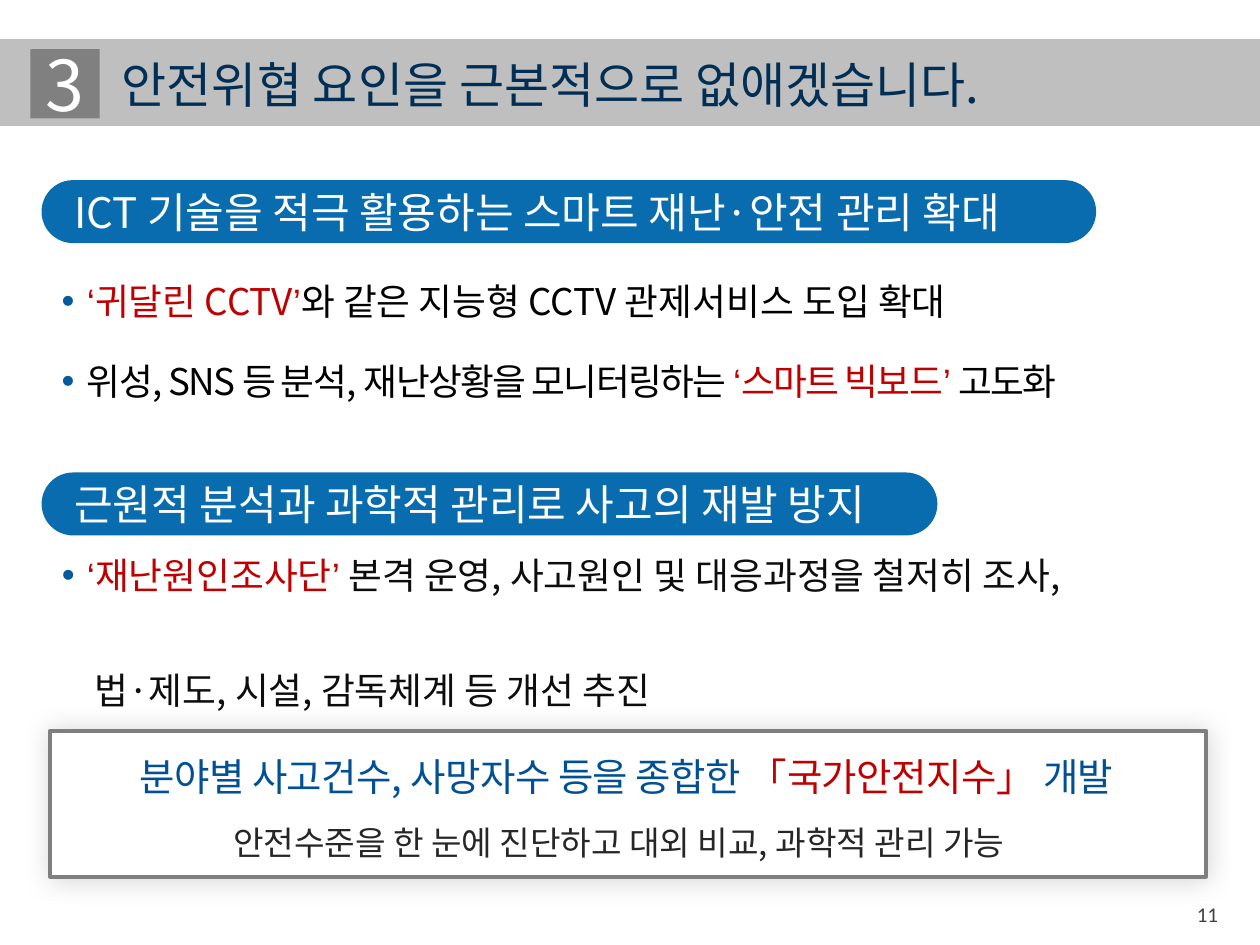
from dataclasses import dataclass

from lxml import etree
from pptx import Presentation
from pptx import util as u
from pptx.dml.color import RGBColor
from pptx.enum import shapes, text
from pptx.oxml import ns

Inches = u.Inches
Pt = u.Pt


@dataclass(frozen=True)
class Theme:
    korean: str = "Noto Sans CJK KR"
    quote: str = "Arial"
    number: str = "Calibri"
    white: str = "FFFFFF"
    black: str = "000000"
    ink: str = "0D0D0D"
    note: str = "262626"
    page: str = "404040"
    band: str = "BFBFBF"
    badge: str = "808080"
    border: str = "7F7F7F"
    navy: str = "002E54"
    blue: str = "015095"
    pill: str = "096CAF"
    bullet: str = "05599F"
    red: str = "C00000"
    badge_size: float = 40
    title_size: float = 28
    pill_size: float = 24
    key_size: float = 22
    body_size: float = 21
    note_size: float = 19
    page_size: float = 12


T = Theme()


def add_xml(parent, tag, **attrs):
    return etree.SubElement(parent, ns.qn(tag), attrs)


def add_run(p, words, size, color, font=T.korean, spacing=0):
    r = p.add_run()
    r.text = words
    r.font.size = Pt(size)
    r.font.color.rgb = RGBColor.from_string(color)
    r.font.name = font
    props = r.font._element
    add_xml(props, "a:ea", typeface=font)
    if spacing:
        props.set("spc", str(round(spacing * 100)))


def add_quoted(p, opening, words, closing, size, spacing=0, quote_spacing=0):
    add_run(p, opening, size, T.red, T.quote, quote_spacing)
    add_run(p, words, size, T.red, spacing=spacing)
    add_run(p, closing, size, T.red, T.quote, quote_spacing)


def add_box(s, left, top, width, height, wrap=True, inset=True):
    box = s.shapes.add_textbox(Inches(left), Inches(top), Inches(width), Inches(height))
    tf = box.text_frame
    tf.word_wrap = wrap
    tf.auto_size = text.MSO_AUTO_SIZE.SHAPE_TO_FIT_TEXT
    if not inset:
        tf.margin_left = tf.margin_right = tf.margin_top = tf.margin_bottom = 0
        tf.vertical_anchor = text.MSO_ANCHOR.MIDDLE
    return tf


def add_panel(s, kind, left, top, width, height, fill):
    sp = s.shapes.add_shape(kind, Inches(left), Inches(top), Inches(width), Inches(height))
    sp.shadow.inherit = False
    sp.fill.solid()
    sp.fill.fore_color.rgb = RGBColor.from_string(fill)
    sp.line.fill.background()
    return sp


def set_indent(p, left, hanging=0):
    props = p._p.get_or_add_pPr()
    props.set("marL", str(Inches(left)))
    props.set("indent", str(-Inches(hanging)))
    return props


def add_bullet(p):
    props = set_indent(p, 0.2, 0.2)
    color = add_xml(props, "a:buClr")
    add_xml(color, "a:srgbClr", val=T.bullet)
    add_xml(props, "a:buFont", typeface=T.quote)
    add_xml(props, "a:buChar", char="•")


def add_glow(sp):
    effects = sp._element.spPr.find(ns.qn("a:effectLst"))
    shadow = add_xml(effects, "a:outerShdw", blurRad=str(Pt(15)), dist="0",
                     dir="0", algn="ctr", rotWithShape="0")
    color = add_xml(shadow, "a:srgbClr", val=T.black)
    add_xml(color, "a:alpha", val="17000")


def add_header(s, number, title):
    add_panel(s, shapes.MSO_SHAPE.RECTANGLE, 0, 0.31, 10, 0.69, T.band)
    tf = add_box(s, 0.87, 0.38, 7.37, 0.57, wrap=False)
    add_run(tf.paragraphs[0], title, T.title_size, T.navy)
    badge = add_panel(s, shapes.MSO_SHAPE.RECTANGLE, 0.24, 0.39, 0.55, 0.55, T.badge)
    badge.text_frame.vertical_anchor = text.MSO_ANCHOR.MIDDLE
    p = badge.text_frame.paragraphs[0]
    p.alignment = text.PP_ALIGN.CENTER
    add_run(p, number, T.badge_size, T.white)


def add_heading(s, top, width, words):
    pill = add_panel(s, shapes.MSO_SHAPE.ROUNDED_RECTANGLE, 0.33, top, width, 0.5, T.pill)
    pill.adjustments[0] = 0.5
    tf = add_box(s, 0.59, top + 0.05, width - 0.52, 0.4, wrap=False, inset=False)
    add_run(tf.paragraphs[0], words, T.pill_size, T.white)


def add_smart_points(s):
    tf = add_box(s, 0.49, 2.21, 8.5, 0.99, inset=False)
    p = tf.paragraphs[0]
    add_bullet(p)
    add_quoted(p, "‘", "귀달린 CCTV", "’", T.body_size)
    add_run(p, "와 같은 지능형 CCTV 관제서비스 도입 확대", T.body_size, T.black)
    p = tf.add_paragraph()
    add_bullet(p)
    p.space_before = Pt(20)
    add_run(p, "위성, SNS 등 분석, 재난상황을 모니터링하는 ", T.body_size, T.black, spacing=-0.9)
    add_quoted(p, "‘", "스마트 빅보드", "’ ", T.body_size, -0.9, -0.9)
    add_run(p, "고도화", T.body_size, T.black, spacing=-0.9)


def add_cause_points(s):
    tf = add_box(s, 0.49, 4.5, 8.48, 0.93, inset=False)
    p = tf.paragraphs[0]
    add_bullet(p)
    p.line_spacing = Pt(33)
    add_quoted(p, "‘", "재난원인조사단", "’", T.body_size, quote_spacing=-0.9)
    add_run(p, " 본격 운영, 사고원인 및 대응과정을 철저히 조사,", T.body_size, T.ink)
    p = tf.add_paragraph()
    set_indent(p, 0.26)
    p.line_spacing = p.space_before = Pt(33)
    add_run(p, "법·제도, 시설, 감독체계 등 개선 추진", T.body_size, T.ink)


def add_summary(s):
    frame = add_panel(s, shapes.MSO_SHAPE.RECTANGLE, 0.4, 5.8, 9.17, 1.16, T.white)
    frame.line.color.rgb = RGBColor.from_string(T.border)
    frame.line.width = Pt(2.25)
    add_glow(frame)
    tf = add_box(s, 0.35, 5.92, 9.18, 0.93, inset=False)
    key, note = tf.paragraphs[0], tf.add_paragraph()
    for p in (key, note):
        p.alignment = text.PP_ALIGN.CENTER
        p.line_spacing = Pt(30)
    note.space_before = Pt(6)
    add_run(key, " 분야별 사고건수, 사망자수 등을 종합한 ", T.key_size, T.blue, spacing=-0.3)
    add_quoted(key, "「", "국가안전지수", "」", T.key_size, -0.3, -0.3)
    add_run(key, " 개발", T.key_size, T.blue, spacing=-0.3)
    add_run(note, "안전수준을 한 눈에 진단하고 대외 비교, 과학적 관리 가능 ", T.note_size, T.note)


def add_page_number(s, number):
    tf = add_box(s, 9.4, 7.11, 0.4, 0.3)
    add_run(tf.paragraphs[0], number, T.page_size, T.page, T.number)


def main():
    prs = Presentation()
    prs.slide_width, prs.slide_height = Inches(10), Inches(7.5)
    s = prs.slides.add_slide(prs.slide_layouts[6])
    add_page_number(s, "11")
    add_heading(s, 1.43, 8.37, "ICT 기술을 적극 활용하는 스마트 재난·안전 관리 확대")
    add_heading(s, 3.75, 7.11, "근원적 분석과 과학적 관리로 사고의 재발 방지")
    add_smart_points(s)
    add_cause_points(s)
    add_header(s, "3", "안전위협 요인을 근본적으로 없애겠습니다.")
    add_summary(s)
    prs.save("out.pptx")


if __name__ == "__main__":
    main()
